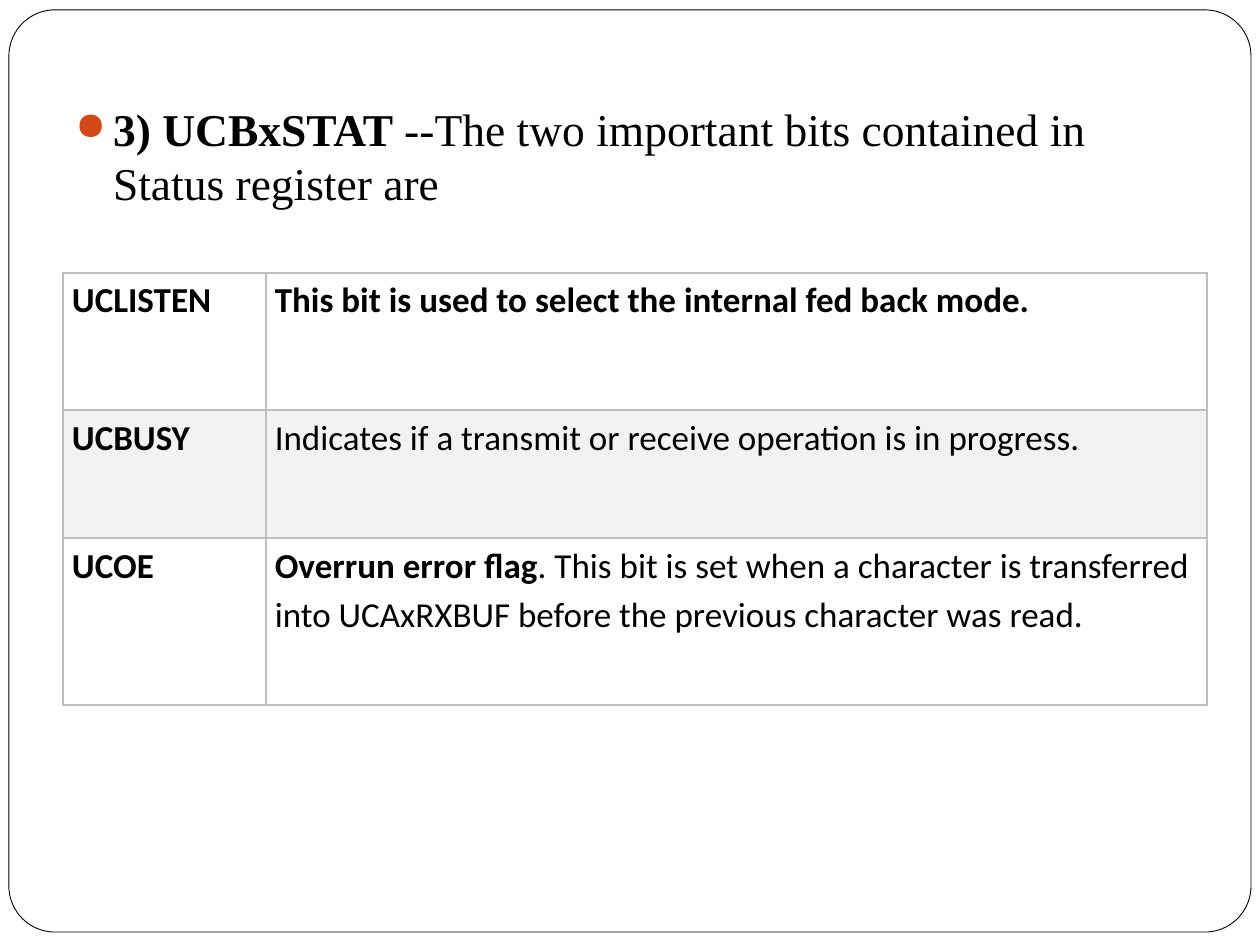
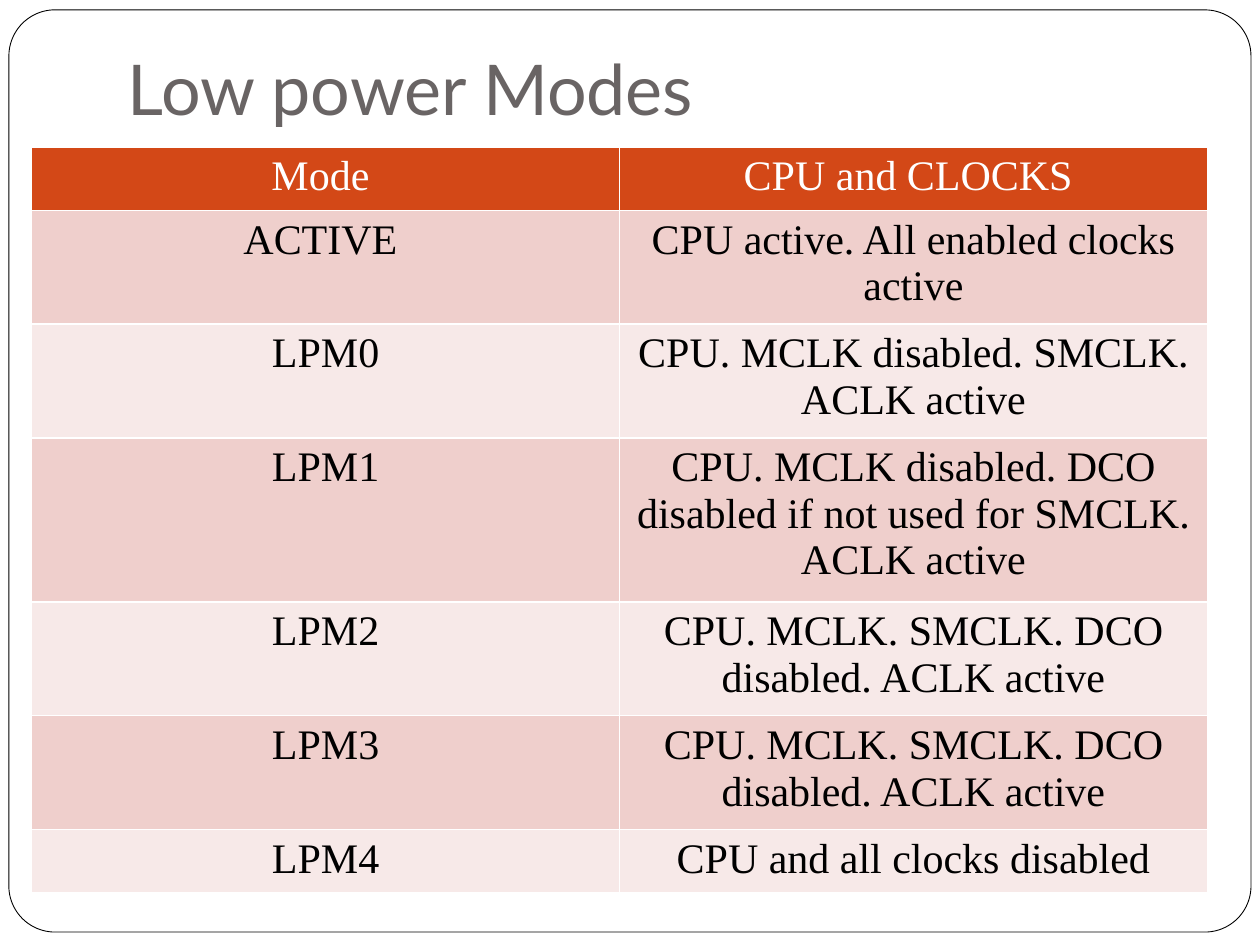
from lxml import etree
from pptx import Presentation
from pptx import util as u
from pptx.dml.color import RGBColor
from pptx.enum import shapes, text
from pptx.oxml import ns

# Theme: colours, type and sizes
theme = dict(
    white="FFFFFF", ink="000000", grey="696464", rust="D34817",
    rose="EFCFCC", pale="F7E9E8", ash="F2F2F2", rule="BFBFBF",
    head="Lato", serif="Times New Roman", sans="Calibri",
    title=40, body=26, bits=20, modes=24,
)
T = theme
hue = RGBColor.from_string


def put(frame, runs, font=T["serif"], size=T["body"], color=T["ink"],
        align=text.PP_ALIGN.LEFT, anchor=text.MSO_ANCHOR.TOP,
        inset=(0.25, 0.13, 0.25, 0.13), line=None, before=0, after=0):
    """Fill a frame with one paragraph made of (words, bold) runs."""
    frame.word_wrap = True
    frame.vertical_anchor = anchor
    (frame.margin_left, frame.margin_top,
     frame.margin_right, frame.margin_bottom) = map(u.Cm, inset)
    para = frame.paragraphs[0]
    para.alignment = align
    para.line_spacing = line
    para.space_before, para.space_after = u.Pt(before), u.Pt(after)
    for words, bold in runs:
        run = para.add_run()
        run.text = words
        run.font.name, run.font.size, run.font.bold = font, u.Pt(size), bold
        run.font.color.rgb = hue(color)
    return para


def grid(slide, left, top, cols, rows, edge):
    """Add a plain table with 1 pt borders and yield its cells by row."""
    table = slide.shapes.add_table(
        len(rows), len(cols), u.Cm(left), u.Cm(top),
        u.Cm(sum(cols)), u.Cm(sum(rows))).table
    table.first_row = table.horz_banding = False
    for col, width in zip(table.columns, cols):
        col.width = u.Cm(width)
    for row, height in zip(table.rows, rows):
        row.height = u.Cm(height)
        for cell in row.cells:
            props = cell._tc.get_or_add_tcPr()
            for side in "LRTB":
                ln = etree.SubElement(props, ns.qn(f"a:ln{side}"), w="12700")
                fill = etree.SubElement(ln, ns.qn("a:solidFill"))
                etree.SubElement(fill, ns.qn("a:srgbClr"), val=edge)
        yield row.cells


# Deck and the rounded frame on every slide
deck = Presentation()
deck.slide_width, deck.slide_height = u.Cm(25.4), u.Cm(19.05)
pages = [deck.slides.add_slide(deck.slide_layouts[6]) for _ in range(2)]
for page in pages:
    frame = page.shapes.add_shape(
        shapes.MSO_SHAPE.ROUNDED_RECTANGLE,
        u.Cm(0.18), u.Cm(0.2), u.Cm(25.04), u.Cm(18.59))
    frame.adjustments[0] = 0.05
    frame.shadow.inherit = False
    frame.fill.solid()
    frame.fill.fore_color.rgb = hue(T["white"])
    frame.line.color.rgb = hue(T["ink"])
    frame.line.width = u.Pt(0.5)
stat, power = pages

# Status register: lead line with a round bullet
lead = stat.shapes.add_textbox(u.Cm(1.27), u.Cm(1.9), u.Cm(21.6), u.Cm(12.7))
para = put(lead.text_frame, [
    ("3) UCBxSTAT ", True),
    ("--The two important bits contained in Status register are", False),
], before=5.8)
props = para._p.get_or_add_pPr()
props.set("marL", str(u.Cm(0.76)))
props.set("indent", str(-u.Cm(0.76)))
tint = etree.SubElement(props, ns.qn("a:buClr"))
etree.SubElement(tint, ns.qn("a:srgbClr"), val=T["rust"])
etree.SubElement(props, ns.qn("a:buSzPct"), val="85000")
etree.SubElement(props, ns.qn("a:buChar"), char="●")

# Status register: table of bits
bits = [
    ("UCLISTEN", [("This bit is used to select the internal fed back mode.",
                   True)]),
    ("UCBUSY", [("Indicates if a transmit or receive operation is in "
                 "progress.", False)]),
    ("UCOE", [("Overrun error flag", True),
              (". This bit is set when a character is transferred into "
               "UCAxRXBUF before the previous character was read.", False)]),
]
rows = grid(stat, 1.27, 5.5, [4.09, 18.97], [2.77, 2.58, 3.36], T["rule"])
for i, (cells, (name, note)) in enumerate(zip(rows, bits)):
    for cell, runs in zip(cells, ([(name, True)], note)):
        if i % 2:
            cell.fill.solid()
            cell.fill.fore_color.rgb = hue(T["ash"])
        else:
            cell.fill.background()
        put(cell.text_frame, runs, font=T["sans"], size=T["bits"],
            inset=(0, 0, 0, 0), line=1.15, after=10 if i < 2 else 0)
        cell.margin_left = cell.margin_right = u.Cm(0.18)
        cell.margin_top = cell.margin_bottom = 0

# Low power modes: title
title = power.shapes.add_textbox(
    u.Cm(2.33), u.Cm(0.64), u.Cm(21.6), u.Cm(2.23))
put(title.text_frame, [("Low power Modes", False)], font=T["head"],
    size=T["title"], color=T["grey"], anchor=text.MSO_ANCHOR.BOTTOM,
    inset=(0.25, 0.13, 0.25, 0.25))

# Low power modes: table with a header and two row tints
modes = [
    ("Mode ", "CPU and CLOCKS "),
    ("ACTIVE ", "CPU active. All enabled clocks active"),
    ("LPM0", "CPU. MCLK disabled. SMCLK. ACLK active"),
    ("LPM1", "CPU. MCLK disabled. DCO disabled if not used for SMCLK. "
             "ACLK active"),
    ("LPM2", "CPU. MCLK. SMCLK. DCO disabled. ACLK active"),
    ("LPM3", "CPU. MCLK. SMCLK. DCO disabled. ACLK active"),
    ("LPM4", "CPU and all clocks disabled"),
]
tall = [1.28, 2.13, 2.28, 3.3, 2.28, 2.28, 1.28]
rows = grid(power, 0.64, 2.96, [11.85] * 2, tall, T["white"])
for i, (cells, pair) in enumerate(zip(rows, modes)):
    shade = T["rust"] if i == 0 else T["rose"] if i % 2 else T["pale"]
    for cell, words in zip(cells, pair):
        cell.fill.solid()
        cell.fill.fore_color.rgb = hue(shade)
        put(cell.text_frame, [(words, False)], size=T["modes"],
            color=T["ink"] if i else T["white"], align=text.PP_ALIGN.CENTER)
        cell.margin_left = cell.margin_right = u.Cm(0.25)
        cell.margin_top = cell.margin_bottom = u.Cm(0.13)

deck.save("out.pptx")
